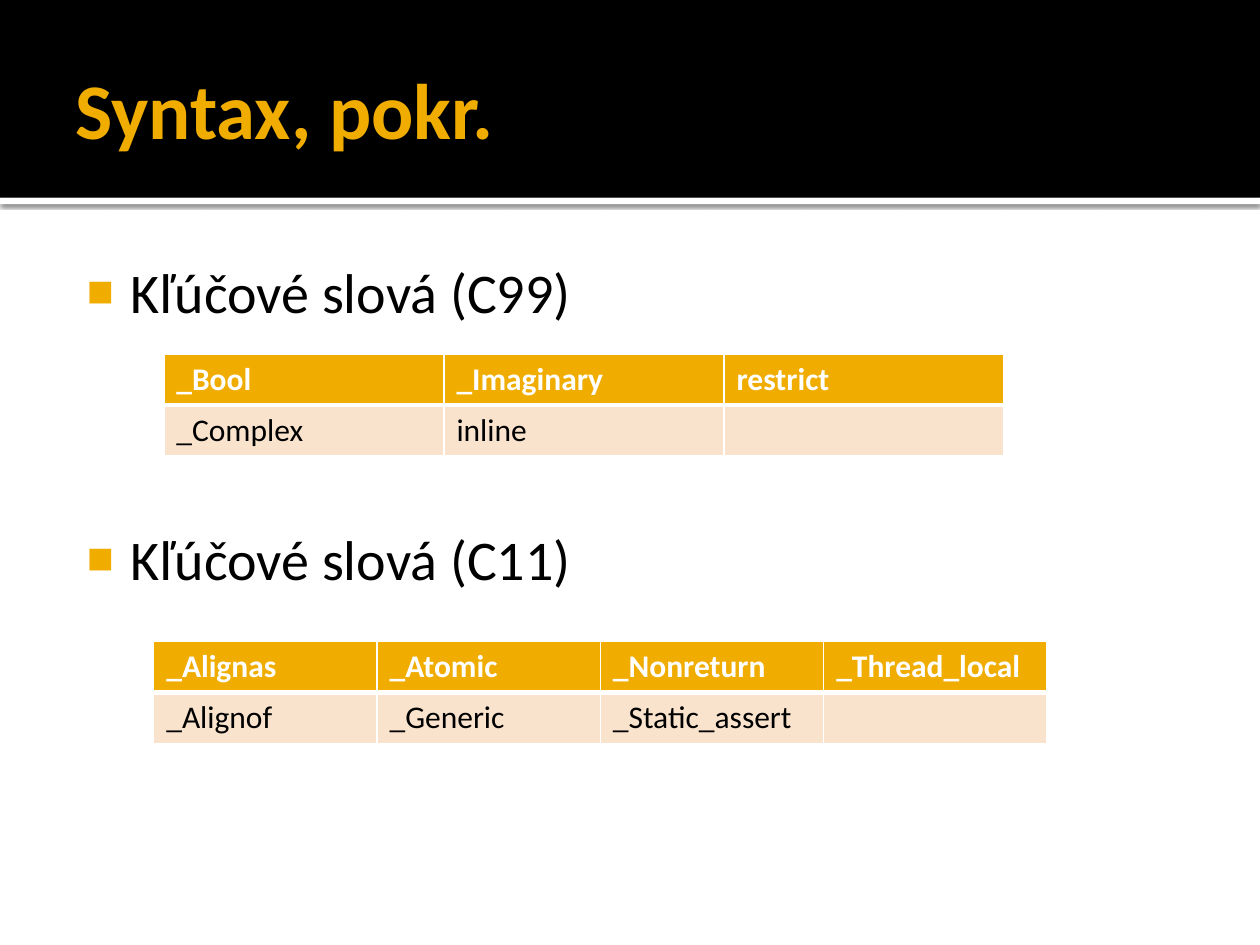
from lxml import etree
from pptx import Presentation
from pptx.dml.color import RGBColor
from pptx.enum.shapes import MSO_SHAPE
from pptx.enum.text import MSO_ANCHOR
from pptx.oxml.ns import qn
from pptx.util import Inches, Pt

RECTANGLE = MSO_SHAPE.RECTANGLE
MIDDLE = MSO_ANCHOR.MIDDLE
TOP = MSO_ANCHOR.TOP

BLACK = RGBColor(0x00, 0x00, 0x00)
WHITE = RGBColor(0xFF, 0xFF, 0xFF)
AMBER = RGBColor(0xF0, 0xAD, 0x00)
PEACH = RGBColor(0xF9, 0xE3, 0xCC)
FONT = "Calibri"

C99_KEYWORDS = [["_Bool", "_Imaginary", "restrict"],
                ["_Complex", "inline", ""]]
C11_KEYWORDS = [["_Alignas", "_Atomic", "_Nonreturn", "_Thread_local"],
                ["_Alignof", "_Generic", "_Static_assert", ""]]


def add_element(parent, tag, **attributes):
    element = etree.SubElement(parent, qn(tag))
    for name, value in attributes.items():
        element.set(name, str(value))
    return element


def add_band(slide, top, height, color):
    band = slide.shapes.add_shape(RECTANGLE, 0, Inches(top), Inches(10), Inches(height))
    band.shadow.inherit = False
    band.fill.solid()
    band.fill.fore_color.rgb = color
    band.line.fill.background()
    return band


def add_drop_shadow(shape):
    effects = shape._element.spPr.find(qn("a:effectLst"))
    shadow = add_element(effects, "a:outerShdw", blurRad=Pt(2.5), dist=Pt(0.8),
                         dir=90 * 60000, algn="tl", rotWithShape=0)
    color = add_element(shadow, "a:srgbClr", val=BLACK)
    add_element(color, "a:alpha", val=60000)


def add_text_box(slide, left, top, width, height, insets, anchor):
    box = slide.shapes.add_textbox(Inches(left), Inches(top), Inches(width), Inches(height))
    frame = box.text_frame
    frame.word_wrap = True
    frame.vertical_anchor = anchor
    (frame.margin_left, frame.margin_top,
     frame.margin_right, frame.margin_bottom) = [Inches(inset) for inset in insets]
    return frame


def add_run(para, text, size, color, bold=False):
    span = para.add_run()
    span.text = text
    span.font.name = FONT
    span.font.size = Pt(size)
    span.font.bold = bold
    span.font.color.rgb = color


def add_square_bullet(para):
    properties = para._p.get_or_add_pPr()
    properties.set("marL", str(Inches(0.48)))
    properties.set("indent", str(Inches(-0.35)))
    color = add_element(properties, "a:buClr")
    add_element(color, "a:srgbClr", val=AMBER)
    add_element(properties, "a:buSzPct", val=80000)
    add_element(properties, "a:buFont", typeface="Arial")
    add_element(properties, "a:buChar", char="■")


def add_borders(cell, top, bottom):
    properties = cell._tc.get_or_add_tcPr()
    for side, width in (("L", 1), ("R", 1), ("T", top), ("B", bottom)):
        line = add_element(properties, f"a:ln{side}", w=Pt(width))
        fill = add_element(line, "a:solidFill")
        add_element(fill, "a:srgbClr", val=WHITE)


def add_keyword_table(slide, left, top, width, keywords):
    columns = len(keywords[0])
    row_height = Inches(0.405)
    table = slide.shapes.add_table(len(keywords), columns, Inches(left), Inches(top),
                                   Inches(width), row_height * len(keywords)).table
    for column in table.columns:
        column.width = Inches(width / columns)
    for row_index, words in enumerate(keywords):
        header = row_index == 0
        for column_index, word in enumerate(words):
            cell = table.cell(row_index, column_index)
            # The thick rule lies between the header and the body
            add_borders(cell, top=1 if header else 3, bottom=3 if header else 1)
            cell.fill.solid()
            cell.fill.fore_color.rgb = AMBER if header else PEACH
            if word:
                add_run(cell.text_frame.paragraphs[0], word, 18,
                        WHITE if header else BLACK, bold=header)


def main():
    deck = Presentation()
    deck.slide_width, deck.slide_height = Inches(10), Inches(7.5)
    slide = deck.slides.add_slide(deck.slide_layouts[6])

    # Title band with a shadowed white rule beneath it
    add_drop_shadow(add_band(slide, 1.57, 0.05, WHITE))
    add_band(slide, 0, 1.57, BLACK)
    title = add_text_box(slide, 0.5, 0.17, 9, 1.37, (0.1, 0.05, 0.05, 0.05), MIDDLE)
    add_run(title.paragraphs[0], "Syntax, pokr.", 45, AMBER, bold=True)

    # Section headings, spaced to leave room for the first table
    body = add_text_box(slide, 0.5, 1.94, 9, 5.06, (0.06, 0.1, 0.1, 0.05), TOP)
    first, second = body.paragraphs[0], body.add_paragraph()
    for para, standard in ((first, "C99"), (second, "C11")):
        add_square_bullet(para)
        add_run(para, f"Kľúčové slová ({standard})", 32, BLACK)
    second.space_before = Pt(114.6)

    # Keyword tables
    add_keyword_table(slide, 1.3, 2.81, 6.67, C99_KEYWORDS)
    add_keyword_table(slide, 1.22, 5.09, 7.09, C11_KEYWORDS)

    deck.save("out.pptx")


if __name__ == "__main__":
    main()
